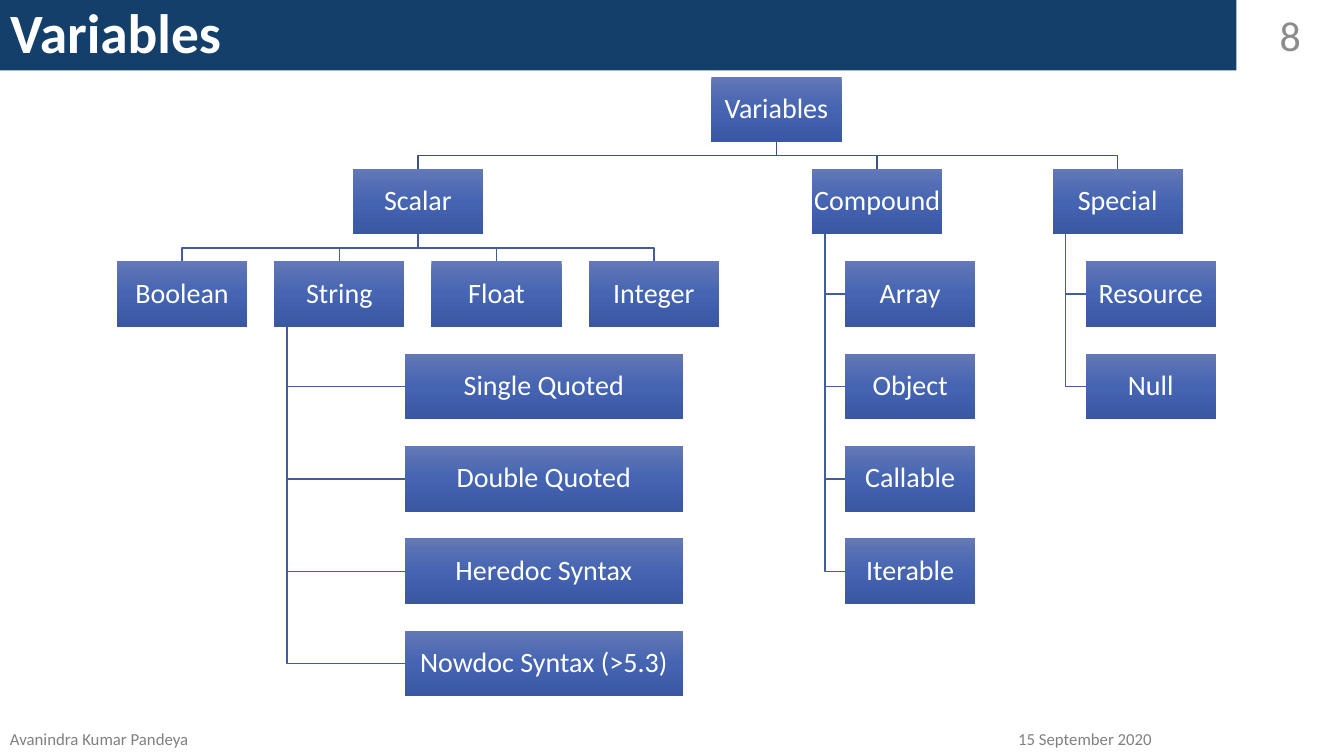
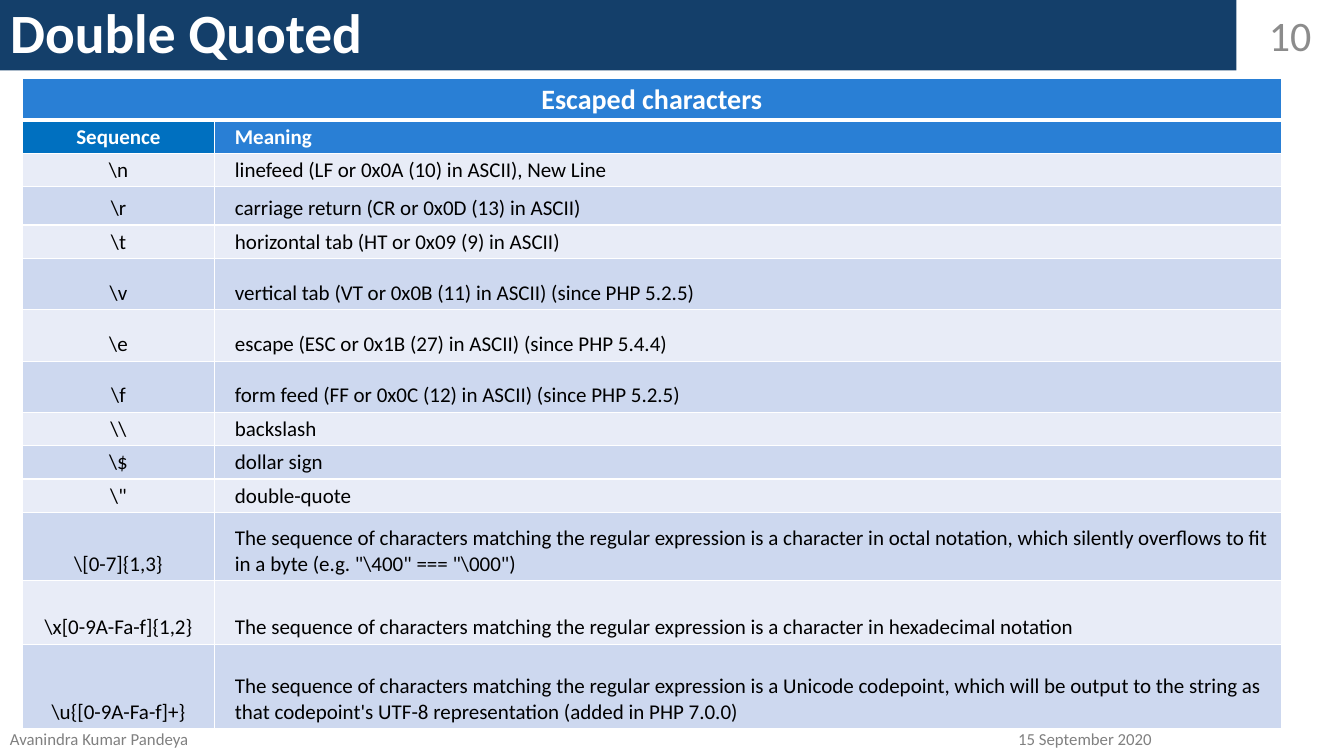
from collections.abc import Iterator
from copy import deepcopy
from dataclasses import dataclass
from typing import NamedTuple

from lxml.etree import SubElement
from pptx import Presentation
from pptx.dml.color import RGBColor
from pptx.enum.shapes import MSO_SHAPE
from pptx.enum.text import MSO_ANCHOR, MSO_AUTO_SIZE, PP_ALIGN
from pptx.oxml.ns import qn
from pptx.presentation import Presentation as Deck
from pptx.slide import Slide
from pptx.table import _Cell as Cell
from pptx.text.text import TextFrame, _Paragraph as Paragraph
from pptx.util import Emu, Inches, Pt

SLIDE_WIDTH, SLIDE_HEIGHT = Inches(13.33), Inches(7.5)


@dataclass(frozen=True)
class TextStyle:
    size: float
    color: str
    bold: bool = False


@dataclass(frozen=True)
class Theme:
    font: str = "Calibri"
    band: str = "143F6A"
    title: TextStyle = TextStyle(39.6, "FFFFFF", True)
    page: TextStyle = TextStyle(30, "8C8C8C")
    footer: TextStyle = TextStyle(12, "808080")
    node: TextStyle = TextStyle(20, "FFFFFF")
    caption: TextStyle = TextStyle(20, "FFFFFF", True)
    heading: TextStyle = TextStyle(15, "FFFFFF", True)
    entry: TextStyle = TextStyle(15, "000000")
    node_gradient: tuple[str, ...] = ("6378B7", "4564B1", "3957A2")
    root_branch: str = "3B528A"
    branch: str = "435D9C"
    heading_fill: str = "297FD5"
    sequence_fill: str = "0070C0"
    stripes: tuple[str, ...] = ("E8ECF7", "CDD8EF")
    border: str = "FFFFFF"


THEME = Theme()


class Area(NamedTuple):
    left: float
    top: float
    width: float
    height: float

    def emu(self) -> tuple[Emu, Emu, Emu, Emu]:
        return (across(self.left), down(self.top),
                across(self.width), down(self.height))


class Escape(NamedTuple):
    sequence: str
    meaning: str
    height: float = 4.27


@dataclass(frozen=True)
class Node:
    label: str
    column: float
    level: int
    children: tuple["Node", ...] = ()
    hanging: bool = False
    width: float = 9.7

    @property
    def area(self) -> Area:
        return Area(8.7 + 11.7 * self.column, 10.13 + 12.22 * self.level,
                    self.width, 8.67)


TITLE_BAND = Area(0, 0, 92, 9.3)
PAGE_AREA = Area(92, 0, 8, 9.3)
FOOTER_AREA = Area(0, 95.7, 100, 4.3)
TABLE_COLUMNS = (14.33, 79.37)


def across(columns: float) -> Emu:
    return Emu(round(SLIDE_WIDTH * columns / 100))


def down(rows: float) -> Emu:
    return Emu(round(SLIDE_HEIGHT * rows / 100))


def rgb(color: str) -> RGBColor:
    return RGBColor.from_string(color)


def write(paragraph: Paragraph, text: str, style: TextStyle,
          align: PP_ALIGN = PP_ALIGN.LEFT) -> None:
    paragraph.alignment = align
    run = paragraph.add_run()
    run.text = text
    run.font.name = THEME.font
    run.font.size = Pt(style.size)
    run.font.bold = style.bold
    run.font.color.rgb = rgb(style.color)


def add_text_area(slide: Slide, area: Area, anchor: MSO_ANCHOR) -> TextFrame:
    frame = slide.shapes.add_textbox(*area.emu()).text_frame
    frame.word_wrap = True
    frame.vertical_anchor = anchor
    return frame


def add_page(deck: Deck, heading: str, number: int) -> Slide:
    slide = deck.slides.add_slide(deck.slide_layouts[5])
    band = slide.shapes.title
    band.left, band.top, band.width, band.height = TITLE_BAND.emu()
    band.fill.solid()
    band.fill.fore_color.rgb = rgb(THEME.band)
    frame = band.text_frame
    frame.auto_size = MSO_AUTO_SIZE.NONE
    frame.vertical_anchor = MSO_ANCHOR.MIDDLE
    frame.paragraphs[0].line_spacing = 0.9
    write(frame.paragraphs[0], heading, THEME.title)

    page = add_text_area(slide, PAGE_AREA, MSO_ANCHOR.MIDDLE)
    write(page.paragraphs[0], str(number), THEME.page, PP_ALIGN.CENTER)

    footer = add_text_area(slide, FOOTER_AREA, MSO_ANCHOR.TOP).paragraphs[0]
    write(footer, "Avanindra Kumar Pandeya\t15 September 2020", THEME.footer)
    stops = SubElement(footer._p.get_or_add_pPr(), qn("a:tabLst"))
    SubElement(stops, qn("a:tab"), pos=str(Inches(10)), algn="l")
    return slide


def walk(node: Node) -> Iterator[Node]:
    yield node
    for child in node.children:
        yield from walk(child)


def add_branch(slide: Slide, parent: Node, child: Node) -> None:
    start, end = parent.area, child.area
    bottom = start.top + start.height
    if parent.hanging:
        stem = start.left + start.width / 10
        middle = end.top + end.height / 2
        route = [(stem, bottom), (stem, middle), (end.left, middle)]
    else:
        stem = start.left + start.width / 2
        target = end.left + end.width / 2
        bend = (bottom + end.top) / 2
        route = [(stem, bottom), (stem, bend), (target, bend), (target, end.top)]
    points = [(across(x), down(y)) for x, y in route]
    builder = slide.shapes.build_freeform(*points[0], scale=1.0)
    builder.add_line_segments(points[1:], close=False)
    branch = builder.convert_to_shape()
    branch.shadow.inherit = False
    branch.fill.background()
    branch.line.width = Pt(1)
    branch.line.color.rgb = rgb(THEME.branch if parent.level else THEME.root_branch)


def add_node(slide: Slide, node: Node) -> None:
    box = slide.shapes.add_shape(MSO_SHAPE.RECTANGLE, *node.area.emu())
    box.shadow.inherit = False
    box.line.fill.background()
    box.fill.gradient()
    box.fill.gradient_angle = 270
    stop_list = next(box.element.iter(qn("a:gsLst")))
    stop_list.insert(1, deepcopy(stop_list[0]))
    for index, (stop, color) in enumerate(
            zip(box.fill.gradient_stops, THEME.node_gradient)):
        stop.position = index / 2
        stop.color.rgb = rgb(color)
    frame = box.text_frame
    frame.word_wrap = True
    frame.vertical_anchor = MSO_ANCHOR.MIDDLE
    frame.margin_left = frame.margin_right = Inches(0.01)
    frame.margin_top = frame.margin_bottom = Inches(0.01)
    frame.paragraphs[0].line_spacing = 0.9
    write(frame.paragraphs[0], node.label, THEME.node, PP_ALIGN.CENTER)


def add_tree(slide: Slide, root: Node) -> None:
    for parent in walk(root):
        for child in parent.children:
            add_branch(slide, parent, child)
    for node in walk(root):
        add_node(slide, node)


def hang(label: str, column: float, level: int, names: tuple[str, ...],
         indent: float = 0.21, width: float = 9.7) -> Node:
    children = tuple(Node(name, column + indent, level + step, width=width)
                     for step, name in enumerate(names, 1))
    return Node(label, column, level, children, hanging=True)


def add_borders(cell: Cell, widths: dict[str, float]) -> None:
    properties = cell._tc.get_or_add_tcPr()
    for side, width in widths.items():
        line = SubElement(properties, qn(f"a:ln{side}"), w=str(Pt(width)))
        fill = SubElement(line, qn("a:solidFill"))
        SubElement(fill, qn("a:srgbClr"), val=THEME.border)


def format_cell(cell: Cell, row: int, column: int, text: str) -> None:
    add_borders(cell, {"L": 1, "R": 1, "T": 3 if row == 1 else 1,
                       "B": 3 if row == 0 else 1})
    if row > 1:
        color, style = THEME.stripes[row % 2], THEME.entry
    elif row == 1:
        color = THEME.heading_fill if column else THEME.sequence_fill
        style = THEME.heading
    else:
        color, style = THEME.heading_fill, THEME.caption
    cell.fill.solid()
    cell.fill.fore_color.rgb = rgb(color)
    cell.vertical_anchor = MSO_ANCHOR.BOTTOM
    cell.margin_left = Inches(0.2 * column)
    cell.margin_right = 0
    cell.margin_top = cell.margin_bottom = Inches(0.04)
    if text:
        write(cell.text_frame.paragraphs[0], text, style,
              PP_ALIGN.LEFT if column else PP_ALIGN.CENTER)


def add_escape_table(slide: Slide, entries: tuple[Escape, ...]) -> None:
    area = Area(1.65, 10.4, sum(TABLE_COLUMNS), sum(e.height for e in entries))
    table = slide.shapes.add_table(len(entries), 2, *area.emu()).table
    for column, width in enumerate(TABLE_COLUMNS):
        table.columns[column].width = across(width)
    for row, entry in enumerate(entries):
        table.rows[row].height = down(entry.height)
        for column, text in enumerate((entry.sequence, entry.meaning)):
            format_cell(table.cell(row, column), row, column, text)
    table.cell(0, 0).merge(table.cell(0, 1))


VARIABLES = Node("Variables", 3.78, 0, (
    Node("Scalar", 1.5, 1, (
        Node("Boolean", 0, 2),
        hang("String", 1, 2, ("Single Quoted", "Double Quoted", "Heredoc Syntax",
                              "Nowdoc Syntax (>5.3)"), indent=0.83, width=20.7),
        Node("Float", 2, 2),
        Node("Integer", 3, 2),
    )),
    hang("Compound", 4.42, 1, ("Array", "Object", "Callable", "Iterable")),
    hang("Special", 5.95, 1, ("Resource", "Null")),
))

MATCHING = "The sequence of characters matching the regular expression is a "
ESCAPES = (
    Escape("Escaped characters", "", 4.93),
    Escape("Sequence", "Meaning"),
    Escape(r"\n", "linefeed (LF or 0x0A (10) in ASCII), New Line"),
    Escape(r"\r", "carriage return (CR or 0x0D (13) in ASCII)", 5.07),
    Escape(r"\t", "horizontal tab (HT or 0x09 (9) in ASCII)"),
    Escape(r"\v", "vertical tab (VT or 0x0B (11) in ASCII) (since PHP 5.2.5)", 6.8),
    Escape(r"\e", "escape (ESC or 0x1B (27) in ASCII) (since PHP 5.4.4)", 6.8),
    Escape(r"\f", "form feed (FF or 0x0C (12) in ASCII) (since PHP 5.2.5)", 6.8),
    Escape(r"\\", "backslash"),
    Escape(r"\$", "dollar sign"),
    Escape(r'\"', "double-quote"),
    Escape(r"\[0-7]{1,3}", MATCHING + "character in octal notation, which silently "
           r'overflows to fit in a byte (e.g. "\400" === "\000")', 9.07),
    Escape(r"\x[0-9A-Fa-f]{1,2}", MATCHING + "character in hexadecimal notation", 8.4),
    Escape(r"\u{[0-9A-Fa-f]+}", MATCHING + "Unicode codepoint, which will be output to "
           "the string as that codepoint's UTF-8 representation (added in PHP 7.0.0)",
           11.2),
)


def main() -> None:
    deck = Presentation()
    deck.slide_width, deck.slide_height = SLIDE_WIDTH, SLIDE_HEIGHT
    add_tree(add_page(deck, "Variables", 8), VARIABLES)
    add_escape_table(add_page(deck, "Double Quoted", 10), ESCAPES)
    deck.save("out.pptx")


main()
